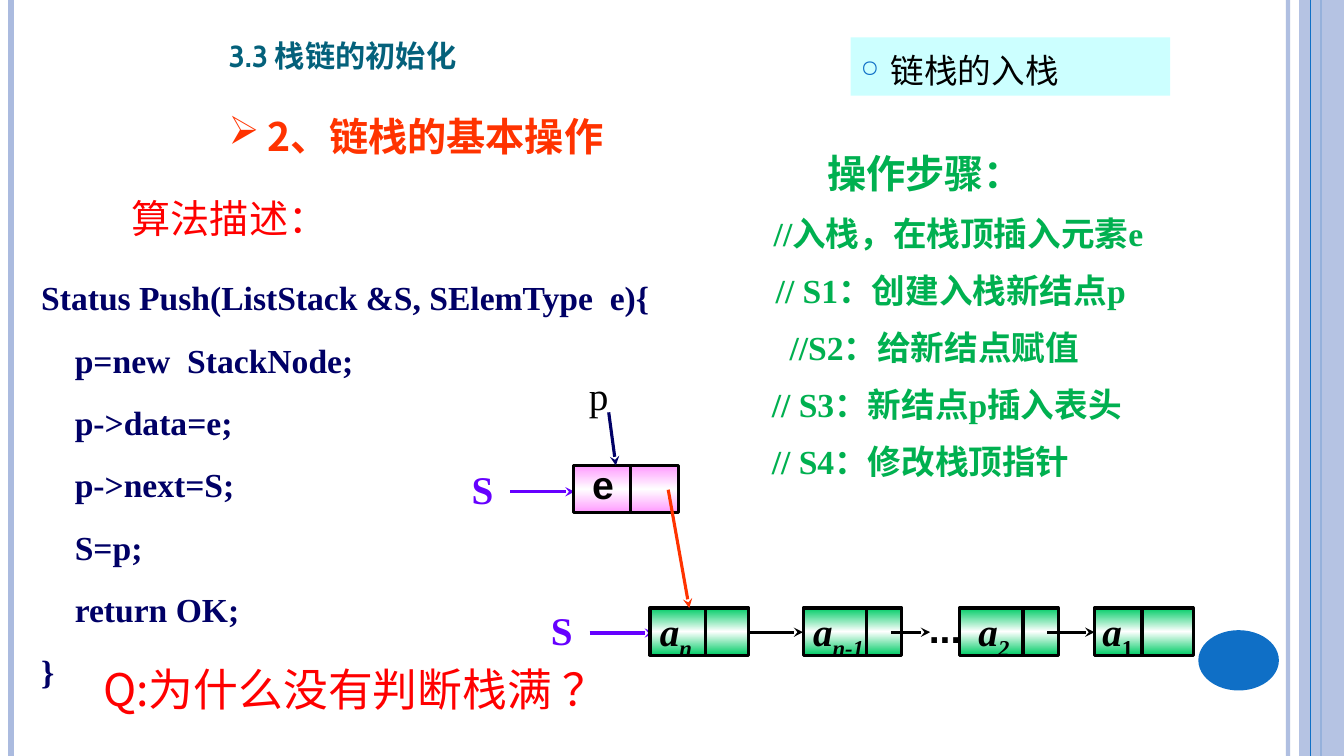
import pptx
import pptx.util
import pptx.dml.color
import pptx.enum.shapes
import pptx.enum.text
import pptx.oxml.ns
from lxml import etree

Cm = pptx.util.Cm
Pt = pptx.util.Pt
qn = pptx.oxml.ns.qn
SHAPE = pptx.enum.shapes.MSO_SHAPE
ANCHOR = pptx.enum.text.MSO_ANCHOR
ALIGN = pptx.enum.text.PP_ALIGN

COLORS = {
    "rail": "ABBBDF", "accent": "0F6FC6", "title": "04617B", "heading": "FF3300",
    "label": "CCFFFF", "steps": "00B050", "code": "000066", "red": "FF0000",
    "stack": "6600FF", "black": "000000", "white": "FFFFFF",
    "pink": "FF99FF", "green": "00CC66",
}
TIMES = "Times New Roman"
CHINESE = "Noto Sans CJK SC"
ROW_TOP, NODE_WIDTH, NODE_HEIGHT = 15.32, 2.49, 1.19
ROW_MIDDLE = 15.93
NO_INSETS = (0, 0.13, 0, 0.13)

# Nodes of the stack: left, divider offset, left inset, subscript, italic subscript
NODES = [
    (16.38, 1.4, 0.25, "n", True),
    (20.24, 1.6, 0.25, "n-1", True),
    (24.18, 1.6, 0.48, "2", True),
    (27.58, 1.2, 0.2, "1", False),
]
# Steps with their left indents
STEPS = [
    ("//入栈，在栈顶插入元素e", 3.2),
    ("// S1：创建入栈新结点p", 3.25),
    ("//S2：给新结点赋值", 3.6),
    ("// S3：新结点p插入表头", 3.15),
    ("// S4：修改栈顶指针", 3.15),
]
CODE = [
    "Status Push(ListStack &S, SElemType  e){",
    "    p=new  StackNode;",
    "    p->data=e;",
    "    p->next=S;",
    "    S=p;",
    "    return OK;",
    "}",
]


def rgb(name):
    return pptx.dml.color.RGBColor.from_string(COLORS[name])


def set_alpha(element, percent):
    color = next(element.iter(qn("a:srgbClr")))
    etree.SubElement(color, qn("a:alpha")).set("val", str(percent * 1000))


def add_line(slide, start, end, color, width=2.25, arrow=False, alpha=None):
    line = slide.shapes.add_connector(
        pptx.enum.shapes.MSO_CONNECTOR.STRAIGHT, *map(Cm, start + end))
    line.line.color.rgb = rgb(color)
    line.line.width = Pt(width)
    properties = line._element.spPr
    if alpha:
        set_alpha(properties, alpha)
    if arrow:
        outline = properties.find(qn("a:ln"))
        etree.SubElement(outline, qn("a:tailEnd")).set("type", "stealth")
    etree.SubElement(properties, qn("a:effectLst"))


def add_block(slide, kind, box, color):
    shape = slide.shapes.add_shape(kind, *map(Cm, box))
    shape.shadow.inherit = False
    shape.fill.solid()
    shape.fill.fore_color.rgb = rgb(color)
    shape.line.fill.background()
    return shape


def set_frame(shape, insets=(0.25, 0.13, 0.25, 0.13), anchor=ANCHOR.TOP, wrap=True):
    frame = shape.text_frame
    frame.word_wrap = wrap
    frame.vertical_anchor = anchor
    (frame.margin_left, frame.margin_top,
     frame.margin_right, frame.margin_bottom) = map(Cm, insets)
    return frame


def set_font(paragraph, size, color, name=TIMES, bold=False, italic=False):
    font = paragraph.font
    font.size = Pt(size)
    font.bold = bold
    font.italic = italic
    font.color.rgb = rgb(color)
    font.name = name
    properties = paragraph._p.pPr.find(qn("a:defRPr"))
    east_asian = name if name.startswith("Noto") else CHINESE
    etree.SubElement(properties, qn("a:ea")).set("typeface", east_asian)


def set_indent(paragraph, left, first=0):
    properties = paragraph._p.get_or_add_pPr()
    properties.set("marL", str(Cm(left)))
    properties.set("indent", str(Cm(first)))
    return properties


def add_bullet(paragraph, character, color, indent, size=100):
    properties = set_indent(paragraph, indent, -indent)
    bullet_color = etree.SubElement(properties, qn("a:buClr"))
    etree.SubElement(bullet_color, qn("a:srgbClr")).set("val", COLORS[color])
    etree.SubElement(properties, qn("a:buSzPct")).set("val", str(size * 1000))
    etree.SubElement(properties, qn("a:buChar")).set("char", character)


def add_text(slide, box, text, size, color, align=ALIGN.LEFT, name=TIMES,
             bold=False, **frame_options):
    shape = slide.shapes.add_textbox(*map(Cm, box))
    paragraph = set_frame(shape, **frame_options).paragraphs[0]
    paragraph.text = text
    paragraph.alignment = align
    set_font(paragraph, size, color, name, bold)
    return paragraph


def add_lines(slide, box, lines, size, color, spacing, before):
    """Add bold (text, indent) lines with equal spacing."""
    frame = set_frame(slide.shapes.add_textbox(*map(Cm, box)))
    for number, (text, indent) in enumerate(lines):
        paragraph = frame.paragraphs[0] if number == 0 else frame.add_paragraph()
        paragraph.text = text
        paragraph.line_spacing = spacing
        if number:
            paragraph.space_before = Pt(before)
        set_indent(paragraph, indent)
        set_font(paragraph, size, color, bold=True)
    return frame


def add_node(slide, left, top, width, divider, color):
    node = add_block(slide, SHAPE.RECTANGLE, (left, top, width, NODE_HEIGHT), color)
    node.fill.gradient()
    node.fill.gradient_angle = 90
    stops = next(node._element.spPr.iter(qn("a:gsLst")))
    for stop in list(stops):
        stops.remove(stop)
    for position, name in ((0, color), (50, "white"), (100, color)):
        stop = etree.SubElement(stops, qn("a:gs"))
        stop.set("pos", str(position * 1000))
        etree.SubElement(stop, qn("a:srgbClr")).set("val", COLORS[name])
    node.line.color.rgb = rgb("black")
    node.line.width = Pt(2.25)
    x = left + divider
    add_line(slide, (x, top), (x, top + NODE_HEIGHT), "black")
    return node


def add_stack_node(slide, left, divider, inset, subscript, italic):
    node = add_node(slide, left, ROW_TOP, NODE_WIDTH, divider, "green")
    frame = set_frame(node, insets=(inset, 0, 0, 0.2))
    frame._txBody.bodyPr.set("vertOverflow", "clip")
    paragraph = frame.paragraphs[0]
    paragraph.alignment = ALIGN.LEFT
    paragraph.line_spacing = 0.9
    set_font(paragraph, 28, "black", bold=True, italic=True)
    for text in ("a", subscript):
        run = paragraph.add_run()
        run.text = text
        run.font.color.rgb = rgb("black")
    run.font.italic = italic
    run._r.get_or_add_rPr().set("baseline", "-25000")


def add_stack_pointer(slide, left, top):
    add_text(slide, (left, top, 1.4, 1.3), "S", 28, "stack", ALIGN.CENTER,
             bold=True, insets=(0, 0, 0, 0.1))
    middle = top + 0.66
    add_line(slide, (left + 1.4, middle), (left + 3.02, middle), "stack", arrow=True)


def main():
    presentation = pptx.Presentation()
    presentation.slide_width, presentation.slide_height = Cm(33.87), Cm(19.05)
    slide = presentation.slides.add_slide(presentation.slide_layouts[6])

    # Side rails and page dot
    for x, color, width, alpha in ((32.46, "rail", 3, 93), (0.28, "rail", 4.5, None),
                                   (33.3, "accent", 1.5, None)):
        add_line(slide, (x, 0), (x, 19.05), color, width, alpha=alpha)
    band = add_block(slide, SHAPE.RECTANGLE, (32.74, 0, 1.13, 19.05), "rail")
    set_alpha(band._element.spPr, 87)
    add_line(slide, (33.02, 0), (33.02, 19.05), "accent", 0.75)
    add_block(slide, SHAPE.OVAL, (30.2, 15.88, 2.03, 1.52), "accent")

    # Title, heading and topic label
    title = add_text(slide, (5.51, 0.48, 20.75, 1.55), "3.3 栈链的初始化", 27, "title",
                     name="Cabin", bold=True, anchor=ANCHOR.BOTTOM)
    title._p.pPr.find(qn("a:defRPr")).set("cap", "small")
    heading = set_frame(slide.shapes.add_textbox(
        Cm(5.51), Cm(2.69), Cm(24.54), Cm(3.56))).paragraphs[0]
    heading.text = "2、链栈的基本操作"
    add_bullet(heading, "➢", "heading", 0.97)
    set_font(heading, 28, "heading", CHINESE, bold=True)
    label = add_block(slide, SHAPE.RECTANGLE, (21.44, 0.94, 8.05, 1.47), "label")
    topic = set_frame(label, anchor=ANCHOR.BOTTOM).paragraphs[0]
    topic.text = "链栈的入栈"
    topic.alignment = ALIGN.LEFT
    add_bullet(topic, "○", "accent", 0.76, 70)
    set_font(topic, 24, "black", "Cabin")

    # Steps and code
    steps = add_lines(slide, (16.05, 3.4, 14.5, 9.2), [("操作步骤：", 4.55)] + STEPS,
                      24, "steps", Pt(34.7), 6)
    steps.paragraphs[0].font.size = Pt(28)
    steps.paragraphs[0].line_spacing = Pt(40)
    add_text(slide, (2.79, 4.77, 5.99, 1.45), "算法描述：", 28, "red", ALIGN.CENTER)
    add_lines(slide, (0.79, 6.35, 16.28, 11.33), [(line, 0) for line in CODE],
              24, "code", 1.5, 1.3)

    # New node
    add_stack_pointer(slide, 11.46, 11.73)
    add_node(slide, 14.45, 11.73, 2.64, 1.43, "pink")
    add_text(slide, (14.66, 11.48, 1.07, 1.45), "e", 28, "black", ALIGN.CENTER,
             "Arial", True, wrap=False, insets=NO_INSETS)
    add_text(slide, (14.45, 9.35, 1.27, 1.04), "p", 28, "black", ALIGN.CENTER,
             insets=(0, 0, 0, 0.1))
    add_line(slide, (15.34, 10.39), (15.52, 11.73), "code", arrow=True)

    # Linked stack
    add_stack_pointer(slide, 13.46, 15.29)
    for node in NODES:
        add_stack_node(slide, *node)
    for start, end in ((18.87, 20.24), (22.45, 23.44), (26.39, 27.58)):
        add_line(slide, (start, ROW_MIDDLE), (end, ROW_MIDDLE), "black", arrow=True)
    add_text(slide, (23.16, 15.09, 1.32, 1.45), "...", 28, "black", ALIGN.CENTER,
             "Arial", True, wrap=False, insets=NO_INSETS)
    add_line(slide, (16.84, 12.34), (17.37, ROW_TOP), "heading", arrow=True)

    # Question
    add_text(slide, (2.35, 16.55, 13.61, 1.63), "Q:为什么没有判断栈满 ？", 32, "red",
             name="Noto Sans CJK JP")

    presentation.save("out.pptx")


if __name__ == "__main__":
    main()
